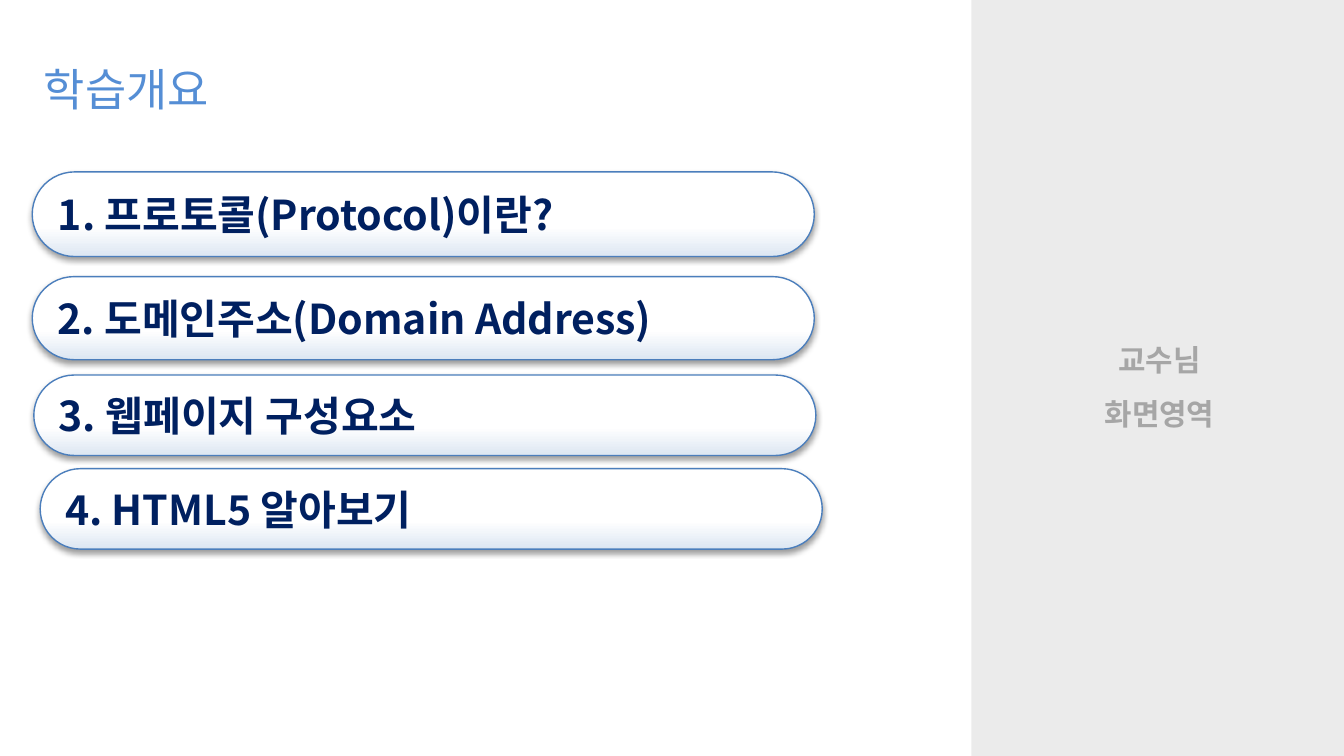
"""Build the Korean lesson overview slide with four topic pills and a speaker area."""
from copy import deepcopy

from lxml import etree
from pptx import Presentation
from pptx.dml.color import RGBColor
from pptx.enum.shapes import MSO_SHAPE
from pptx.enum.text import MSO_ANCHOR, PP_ALIGN
from pptx.oxml.ns import qn
from pptx.util import Cm, Pt

RECTANGLE, PILL = MSO_SHAPE.RECTANGLE, MSO_SHAPE.ROUNDED_RECTANGLE
MIDDLE = MSO_ANCHOR.MIDDLE
LEFT, CENTER = PP_ALIGN.LEFT, PP_ALIGN.CENTER

TITLE = "학습개요"
SPEAKER_AREA = ["교수님", "화면영역"]
TOPICS = [
    ("1. 프로토콜(Protocol)이란?", 0.61, 3.25, 1.6),
    ("2. 도메인주소(Domain Address)", 0.61, 5.23, 1.57),
    ("3. 웹페이지 구성요소", 0.64, 7.09, 1.52),
    ("4. HTML5 알아보기", 0.76, 8.86, 1.52),
]

SLIDE_WIDTH, SLIDE_HEIGHT = 25.4, 14.29
PANEL_LEFT, PANEL_WIDTH = 18.36, 7.11
PILL_WIDTH = 14.78
THEME = {
    "korean": "Noto Sans CJK KR", "latin": "Arial",
    "title": "558ED5", "title_size": 24,
    "topic": "002060", "topic_size": 22,
    "speaker": "A6A6A6", "speaker_size": 16,
    "panel": "D9D9D9", "tint": "DCE6F2", "white": "FFFFFF",
    "outline": "4B7EBC", "shadow": "000000",
}


def color(name):
    return RGBColor.from_string(THEME[name])


def write(shape, lines, role, latin, alignment=LEFT, spacing=1.0, bold=False):
    frame = shape.text_frame
    frame.word_wrap = True
    frame.text = "\n".join(lines)
    for paragraph in frame.paragraphs:
        paragraph.alignment = alignment
        paragraph.line_spacing = spacing
        font = paragraph.font
        font.size = Pt(THEME[role + "_size"])
        font.bold = bold
        font.color.rgb = color(role)
        font.name = THEME[latin]
        properties = paragraph._p.pPr.find(qn("a:defRPr"))
        etree.SubElement(properties, qn("a:ea"), typeface=THEME["korean"])


def add_panel(slide):
    panel = slide.shapes.add_shape(
        RECTANGLE, Cm(PANEL_LEFT), 0, Cm(PANEL_WIDTH), Cm(SLIDE_HEIGHT))
    panel.shadow.inherit = False
    panel.fill.solid()
    panel.fill.fore_color.rgb = color("panel")
    panel.line.fill.background()
    fill_color = panel._element.spPr.find(qn("a:solidFill"))[0]
    etree.SubElement(fill_color, qn("a:alpha"), val="50000")
    panel.text_frame.vertical_anchor = MIDDLE
    write(panel, SPEAKER_AREA, "speaker", "latin", CENTER, 1.5, True)


def add_title(slide):
    title = slide.shapes.add_textbox(Cm(0.58), Cm(0.94), Cm(16.97), Cm(1.3))
    write(title, [TITLE], "title", "korean", spacing=1.1)


def fill_gradient(shape):
    shape.fill.gradient()
    shape.fill.gradient_angle = 90
    stops = shape.fill.gradient_stops
    for stop, name, position in zip(stops, ("tint", "white"), (0, 0.35)):
        stop.color.rgb = color(name)
        stop.position = position
    stop_list = shape._element.spPr.find(qn("a:gradFill")).find(qn("a:gsLst"))
    last_stop = deepcopy(stop_list[-1])
    last_stop.set("pos", "100000")
    stop_list.append(last_stop)


def add_shadow(shape):
    shape.shadow.inherit = False
    effects = shape._element.spPr.find(qn("a:effectLst"))
    shadow = etree.SubElement(
        effects, qn("a:outerShdw"), blurRad=str(Pt(3.1)), dist=str(Pt(1.6)),
        dir="5400000", rotWithShape="0")
    shadow_color = etree.SubElement(shadow, qn("a:srgbClr"), val=THEME["shadow"])
    etree.SubElement(shadow_color, qn("a:alpha"), val="38000")


def add_topic(slide, text, left, top, height):
    pill = slide.shapes.add_shape(
        PILL, Cm(left), Cm(top), Cm(PILL_WIDTH), Cm(height))
    pill.adjustments[0] = 0.5
    fill_gradient(pill)
    pill.line.color.rgb = color("outline")
    pill.line.width = Pt(0.75)
    add_shadow(pill)
    pill.text_frame.vertical_anchor = MIDDLE
    write(pill, [text], "topic", "korean", bold=True)


def main():
    presentation = Presentation()
    presentation.slide_width = Cm(SLIDE_WIDTH)
    presentation.slide_height = Cm(SLIDE_HEIGHT)
    slide = presentation.slides.add_slide(presentation.slide_layouts[6])
    add_panel(slide)
    add_title(slide)
    for topic in TOPICS:
        add_topic(slide, *topic)
    presentation.save("out.pptx")


if __name__ == "__main__":
    main()
